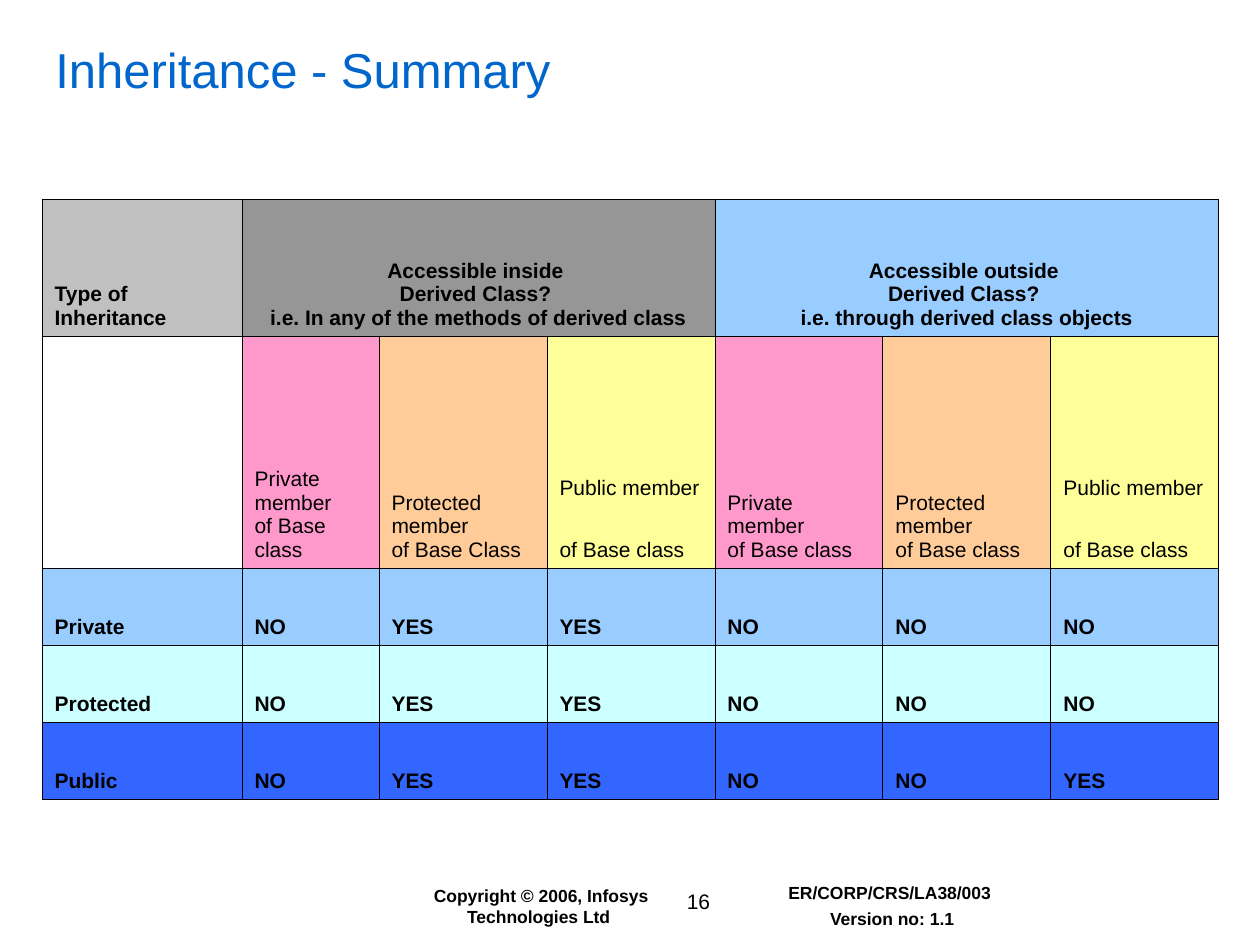
from lxml import etree
from pptx import Presentation
from pptx import util as u
from pptx.dml.color import RGBColor
from pptx.enum import text
from pptx.oxml import ns

SCALE = 914400 / 126
LEFT, CENTER = text.PP_ALIGN.LEFT, text.PP_ALIGN.CENTER
PINK, ORANGE, YELLOW = "FF99CC", "FFCC99", "FFFF99"
COLUMNS = [200, 137] + [168] * 5
ROWS = [137, 232] + [77] * 3
MEMBERS = [
    ("Private member \vof Base class", PINK),
    ("Protected member \vof Base Class", ORANGE),
    ("Public member \vof Base class", YELLOW),
    ("Private member \vof Base class", PINK),
    ("Protected member \vof Base class", ORANGE),
    ("Public member \vof Base class", YELLOW),
]
ACCESS = [
    ("99CCFF", "Private NO YES YES NO NO NO"),
    ("CCFFFF", "Protected NO YES YES NO NO NO"),
    ("3366FF", "Public NO YES YES NO NO YES"),
]


def px(n):
    """Turn px into EMU."""
    return u.Emu(round(n * SCALE))


def color(value):
    """Turn a hex string into a colour."""
    return RGBColor.from_string(value)


def write(tf, content, size=12, bold=False, fill="000000", align=LEFT, gap=0):
    """Fill a text frame with one paragraph per line of content."""
    for i, line in enumerate(content.split("\n")):
        p = tf.add_paragraph() if i else tf.paragraphs[0]
        p.text = line
        p.alignment = align
        if i:
            p.space_before = u.Pt(gap)
        for r in p.runs:
            r.font.name = "Arial"
            r.font.size = u.Pt(size)
            r.font.bold = bold
            r.font.color.rgb = color(fill)


def add_text(s, box, content, wrap=True, anchor=text.MSO_ANCHOR.TOP, **style):
    """Add a text box at left, top, width, height in px."""
    tf = s.shapes.add_textbox(*map(px, box)).text_frame
    tf.word_wrap = wrap
    tf.vertical_anchor = anchor
    write(tf, content, **style)


def add_borders(cell):
    """Draw a thin black line on each side of a cell."""
    tc_pr = cell._tc.get_or_add_tcPr()
    for i, side in enumerate(("a:lnL", "a:lnR", "a:lnT", "a:lnB")):
        ln = etree.Element(ns.qn(side), w=str(u.Pt(0.45)))
        fill = etree.SubElement(ln, ns.qn("a:solidFill"))
        etree.SubElement(fill, ns.qn("a:srgbClr"), val="000000")
        tc_pr.insert(i, ln)


def set_cell(cell, content, fill, **style):
    """Colour a cell and write its text at the bottom."""
    cell.fill.solid()
    cell.fill.fore_color.rgb = color(fill)
    cell.vertical_anchor = text.MSO_ANCHOR.BOTTOM
    write(cell.text_frame, content, **style)


def add_access_table(s):
    """Add the table of member access by type of inheritance."""
    frame = s.shapes.add_table(len(ROWS), len(COLUMNS), px(42), px(199),
                               px(sum(COLUMNS)), px(sum(ROWS)))
    table = frame.table
    table.first_row = table.horz_banding = False
    for column, width in zip(table.columns, COLUMNS):
        column.width = px(width)
    for row, height in zip(table.rows, ROWS):
        row.height = px(height)
    for cell in table.iter_cells():
        cell.fill.background()
        cell.margin_top = cell.margin_bottom = u.Inches(0.05)
        cell.margin_left = cell.margin_right = u.Inches(0.1)
        add_borders(cell)
    for start in (1, 4):
        table.cell(0, start).merge(table.cell(0, start + 2))
    set_cell(table.cell(0, 0), "Type of Inheritance", "C0C0C0", bold=True)
    set_cell(table.cell(0, 1), "Accessible inside \vDerived Class? \v"
             "i.e. In any of the methods of derived class",
             "969696", bold=True, align=CENTER)
    set_cell(table.cell(0, 4), "Accessible outside \vDerived Class? \v"
             "i.e. through derived class objects",
             "99CCFF", bold=True, align=CENTER)
    for col, (label, fill) in enumerate(MEMBERS, 1):
        set_cell(table.cell(1, col), label, fill)
    for row, (fill, words) in enumerate(ACCESS, 2):
        for col, word in enumerate(words.split()):
            set_cell(table.cell(row, col), word, fill, bold=True)


def main():
    """Build the slide and save it."""
    prs = Presentation()
    prs.slide_width, prs.slide_height = px(1260), px(945)
    s = prs.slides.add_slide(prs.slide_layouts[6])
    add_text(s, (399, 879, 284, 55),
             "Copyright © 2006, Infosys Technologies Ltd ",
             size=10, bold=True, align=CENTER)
    add_text(s, (638, 882, 121, 38), "16", wrap=False, align=CENTER)
    add_text(s, (724, 876, 336, 59), "ER/CORP/CRS/LA38/003 \nVersion no: 1.1",
             size=10, bold=True, align=CENTER, gap=2.5)
    add_text(s, (43, 33, 1182, 71), "Inheritance - Summary", size=28,
             fill="0066CC", anchor=text.MSO_ANCHOR.MIDDLE)
    add_access_table(s)
    prs.save("out.pptx")


if __name__ == "__main__":
    main()
